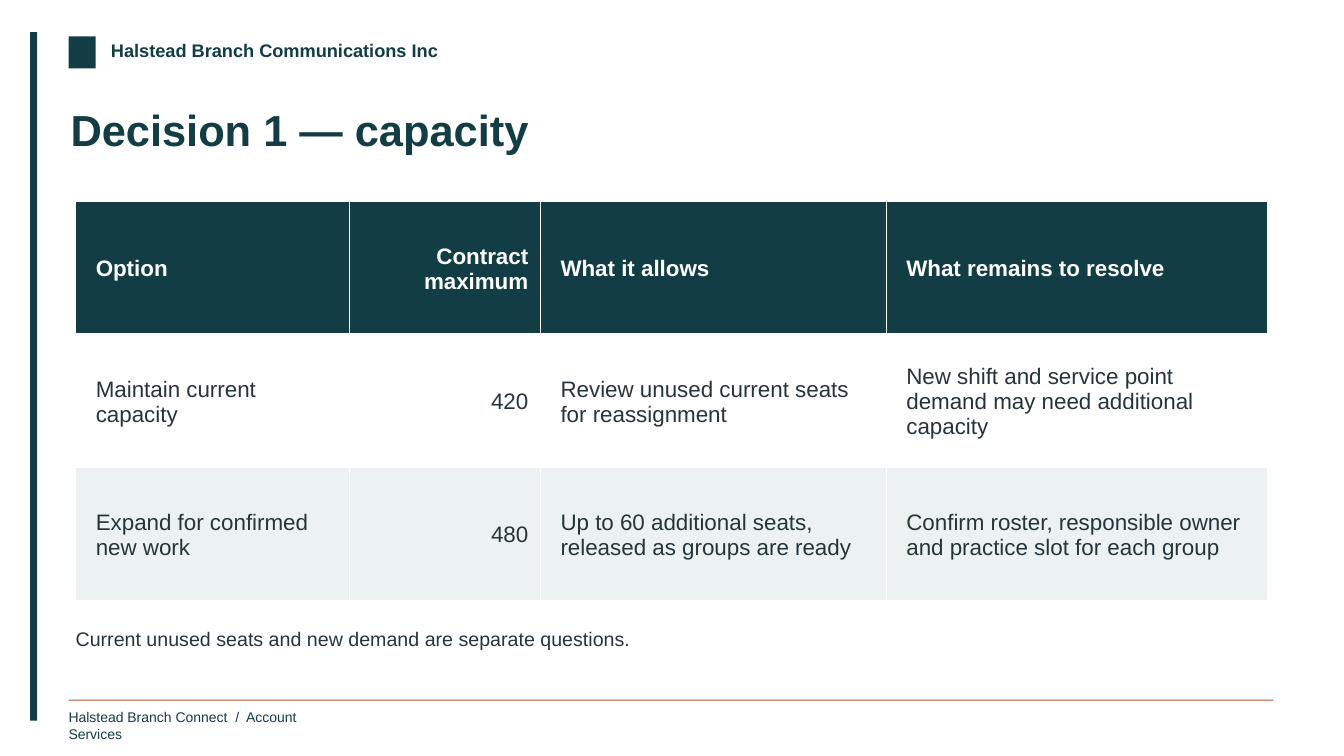
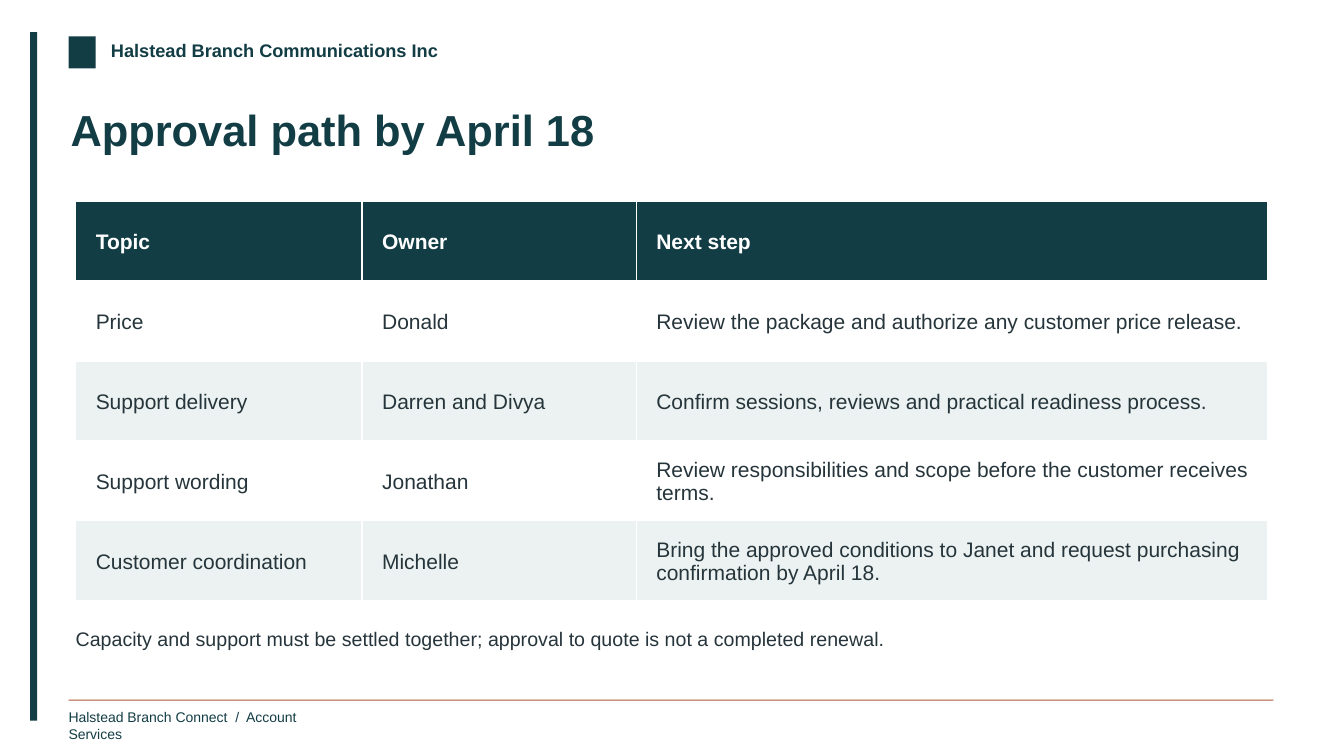
from lxml.etree import SubElement as Sub
from pptx import Presentation
from pptx.dml.color import RGBColor as RGB
from pptx.enum.shapes import MSO_SHAPE as Shape
from pptx.enum.text import MSO_ANCHOR as Anchor, PP_ALIGN as Align
from pptx.oxml.ns import qn
from pptx.util import Inches, Pt

# Content
BRAND = "Halstead Branch Communications Inc"
FOOTER = "Halstead Branch Connect  /  Account Services"
SLIDES = [
    {
        "title": "Decision 1 — capacity",
        "note": "Current unused seats and new demand are separate questions.",
        "size": 16,
        "cols": [2.72, 1.89, 3.43, 3.78],
        "right": [1],
        "rows": [
            ("Option", "Contract maximum", "What it allows",
             "What remains to resolve"),
            ("Maintain current capacity", "420",
             "Review unused current seats for reassignment",
             "New shift and service point demand may need additional capacity"),
            ("Expand for confirmed new work", "480",
             "Up to 60 additional seats, released as groups are ready",
             "Confirm roster, responsible owner and practice slot for each group"),
        ],
    },
    {
        "title": "Approval path by April 18",
        "note": "Capacity and support must be settled together; "
                "approval to quote is not a completed renewal.",
        "size": 15,
        "cols": [2.84, 2.72, 6.26],
        "right": [],
        "rows": [
            ("Topic", "Owner", "Next step"),
            ("Price", "Donald",
             "Review the package and authorize any customer price release."),
            ("Support delivery", "Darren and Divya",
             "Confirm sessions, reviews and practical readiness process."),
            ("Support wording", "Jonathan",
             "Review responsibilities and scope before the customer receives terms."),
            ("Customer coordination", "Michelle",
             "Bring the approved conditions to Janet and request purchasing "
             "confirmation by April 18."),
        ],
    },
]

# Shared style
FONT = "Arial"
TEAL, RUST, INK, PALE, WHITE = "133D45", "AF5636", "26353B", "EBF2F1", "FFFFFF"
LEFT, TOP, WIDTH, HEIGHT = 0.75, 2, 11.82, 3.96
PADS = {"left": 0.2, "top": 0.08, "right": 0.12, "bottom": 0.06}
BARS = [  # left, top, width, height, colour
    (0.3, 0.32, 0.07, 6.83, TEAL),   # side band
    (0.68, 0.36, 0.27, 0.32, TEAL),  # plain brand mark
    (0.68, 6.94, 11.95, 0.01, RUST), # footer rule
]


def color(code):
    return RGB.from_string(code)


def add_run(para, text, size, code, bold=False):
    run = para.add_run()
    run.text = text
    font = run.font
    font.name, font.size, font.bold = FONT, Pt(size), bold
    font.color.rgb = color(code)


def add_bar(slide, left, top, width, height, code):
    bar = slide.shapes.add_shape(
        Shape.RECTANGLE, *map(Inches, (left, top, width, height)))
    bar.shadow.inherit = False
    bar.fill.solid()
    bar.fill.fore_color.rgb = color(code)
    bar.line.fill.background()


def add_text(slide, box, text, size, code, bold=False, wrap=True):
    frame = slide.shapes.add_textbox(*map(Inches, box)).text_frame
    frame.word_wrap = wrap
    for side in PADS:
        setattr(frame, f"margin_{side}", 0)
    add_run(frame.paragraphs[0], text, size, code, bold)


def add_edges(cell, points):
    props = cell._tc.get_or_add_tcPr()
    for side, width in zip("LRTB", points):
        line = Sub(props, qn(f"a:ln{side}"), w=str(Pt(width)))
        Sub(Sub(line, qn("a:solidFill")), qn("a:srgbClr"), val=WHITE)


def add_grid(slide, rows, cols, size, right):
    table = slide.shapes.add_table(
        len(rows), len(cols), *map(Inches, (LEFT, TOP, WIDTH, HEIGHT))).table
    for col, width in zip(table.columns, cols):
        col.width = Inches(width)
    for r, texts in enumerate(rows):
        table.rows[r].height = Inches(HEIGHT / len(rows))
        head = r == 0
        fill = TEAL if head else WHITE if r % 2 else PALE
        for c, text in enumerate(texts):
            cell = table.cell(r, c)
            add_edges(cell, (1, 1, 3 if r == 1 else 1, 3 if head else 1))
            cell.fill.solid()
            cell.fill.fore_color.rgb = color(fill)
            cell.vertical_anchor = Anchor.MIDDLE
            for side, pad in PADS.items():
                setattr(cell, f"margin_{side}", Inches(pad))
            para = cell.text_frame.paragraphs[0]
            para.alignment = Align.RIGHT if c in right else Align.LEFT
            add_run(para, text, size, WHITE if head else INK, head)


def add_frame(slide):
    """Band, brand line and footer on every slide."""
    for bar in BARS:
        add_bar(slide, *bar)
    add_text(slide, (1.1, 0.39, 3.55, 0.27), BRAND, 13, TEAL, True, False)
    add_text(slide, (0.68, 7.03, 2.6, 0.23), FOOTER, 10, TEAL, wrap=False)


def main():
    deck = Presentation()
    deck.slide_width, deck.slide_height = Inches(13.33), Inches(7.5)
    for item in SLIDES:
        slide = deck.slides.add_slide(deck.slide_layouts[6])
        add_frame(slide)
        add_text(slide, (0.7, 1.02, 11.9, 0.86), item["title"], 31, TEAL, True)
        add_text(slide, (LEFT, 6.22, WIDTH, 0.44), item["note"], 14, INK)
        add_grid(slide, item["rows"], item["cols"], item["size"], item["right"])
    deck.save("out.pptx")


if __name__ == "__main__":
    main()
